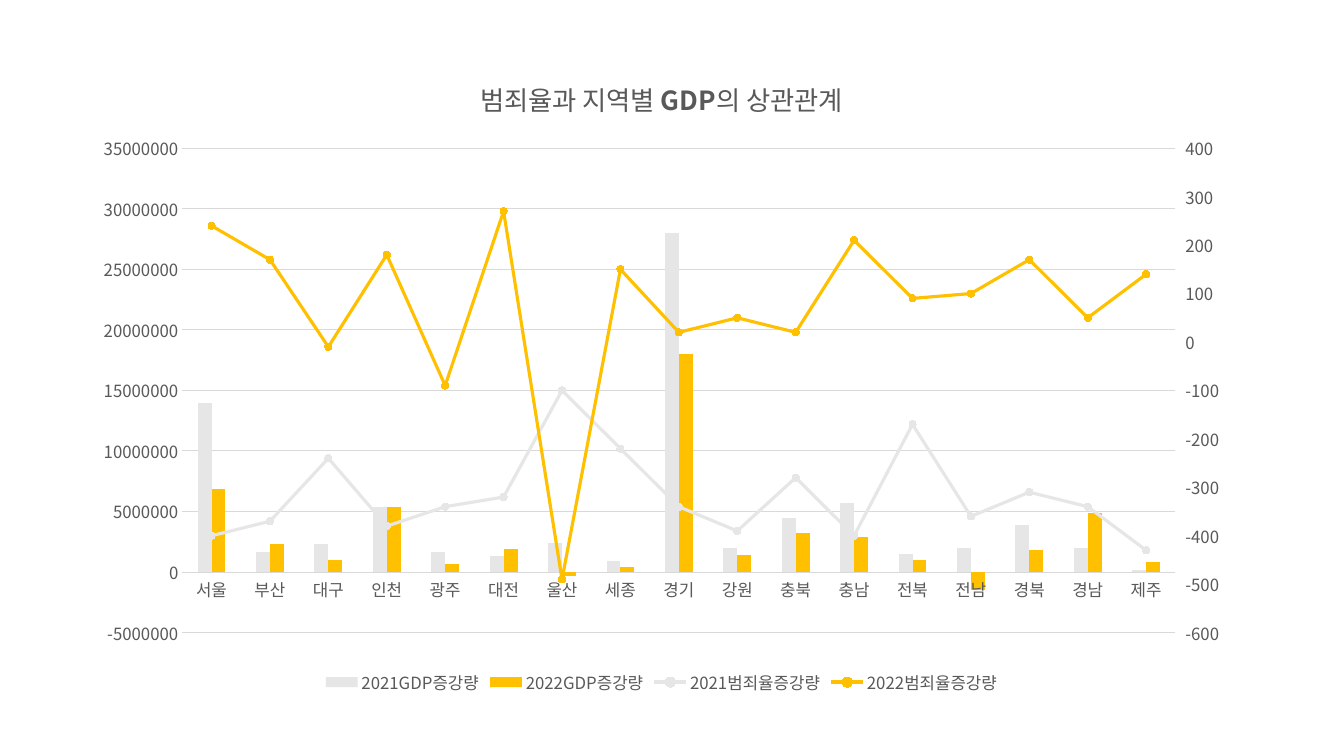
from copy import deepcopy

from pptx import Presentation
from pptx.chart.axis import ValueAxis
from pptx.chart.data import CategoryChartData
from pptx.dml.color import RGBColor
from pptx.enum.chart import XL_CHART_TYPE as ChartType
from pptx.enum.chart import XL_LEGEND_POSITION as LegendPosition
from pptx.enum.chart import XL_MARKER_STYLE as MarkerStyle
from pptx.enum.chart import XL_TICK_MARK as TickMark
from pptx.oxml import parse_xml
from pptx.oxml.ns import nsdecls, qn
from pptx.util import Pt

FONT = "Noto Sans CJK KR"
TEXT_GRAY = RGBColor(0x59, 0x59, 0x59)
GRID_GRAY = RGBColor(0xD9, 0xD9, 0xD9)
LIGHT_GRAY = RGBColor(0xE7, 0xE6, 0xE6)
GOLD = RGBColor(0xFF, 0xC0, 0x00)
YEAR_COLORS = (LIGHT_GRAY, GOLD)

REGIONS = ("서울 부산 대구 인천 광주 대전 울산 세종 경기 "
           "강원 충북 충남 전북 전남 경북 경남 제주").split()
GDP = {
    "2021GDP증강량": (14000000, 1700000, 2300000, 5400000, 1700000, 1300000,
                   2400000, 900000, 28000000, 2000000, 4500000, 5700000,
                   1500000, 2000000, 3900000, 2000000, 200000),
    "2022GDP증강량": (6900000, 2300000, 1000000, 5400000, 700000, 1900000,
                   -300000, 400000, 18000000, 1400000, 3200000, 2900000,
                   1000000, -1500000, 1800000, 4900000, 800000),
}
CRIME = {
    "2021범죄율증강량": (-400, -370, -240, -380, -340, -320, -100, -220, -340,
                  -390, -280, -400, -170, -360, -310, -340, -430),
    "2022범죄율증강량": (240, 170, -10, 180, -90, 270, -490, 150, 20,
                  50, 20, 210, 90, 100, 170, 50, 140),
}
TITLE_RUNS = (("범죄율과 지역별 ", False), ("GDP", True), ("의 상관관계", False))


def style_font(font, size):
    """Apply the chart's typeface and text colour."""
    font.name = FONT
    font.size = Pt(size)
    font.color.rgb = TEXT_GRAY


def style_axis(axis):
    """Give an axis its label font and hide its tick marks."""
    style_font(axis.tick_labels.font, 12)
    axis.major_tick_mark = axis.minor_tick_mark = TickMark.NONE


def scale_axis(axis, low, high, step):
    """Set the range of a value axis and hide its line."""
    axis.minimum_scale, axis.maximum_scale, axis.major_unit = low, high, step
    axis.format.line.fill.background()


def move_crime_to_right_axis(chart):
    """Turn the crime series into lines measured on a second value axis."""
    bars = chart.plots[0]
    crime_series = list(bars.series)[len(GDP):]
    lines = parse_xml(
        f'<c:lineChart {nsdecls("c")}><c:grouping val="standard"/>'
        '<c:varyColors val="0"/><c:marker val="1"/>'
        '<c:axId val="301"/><c:axId val="302"/></c:lineChart>')
    for series in crime_series:
        element = series._element
        for invert in element.findall(qn("c:invertIfNegative")):
            element.remove(invert)
        lines.find(qn("c:marker")).addprevious(element)
    bars._element.addnext(lines)

    left = chart.value_axis._element
    right = deepcopy(left)
    hidden = deepcopy(chart.category_axis._element)
    left.addnext(right)
    right.addnext(hidden)
    for element, own, other in ((hidden, "301", "302"), (right, "302", "301")):
        element.find(qn("c:axId")).set("val", own)
        element.find(qn("c:crossAx")).set("val", other)
    hidden.find(qn("c:delete")).set("val", "1")
    right.find(qn("c:axPos")).set("val", "r")
    right.find(qn("c:crosses")).set("val", "max")
    axis = ValueAxis(right)
    axis.has_major_gridlines = False
    axis.major_tick_mark = TickMark.OUTSIDE
    scale_axis(axis, -600, 400, 100)


def color_series(chart):
    """Colour the columns and lines by year."""
    bars, lines = chart.plots
    bars.gap_width, bars.overlap = 219, 0
    bars.vary_by_categories = False
    for series, color in zip(bars.series, YEAR_COLORS):
        series.invert_if_negative = False
        series.format.fill.solid()
        series.format.fill.fore_color.rgb = color
    for series, color in zip(lines.series, YEAR_COLORS):
        series.smooth = False
        series.format.line.color.rgb = color
        series.format.line.width = Pt(2.25)
        marker = series.marker
        marker.style, marker.size = MarkerStyle.CIRCLE, 5
        marker.format.fill.solid()
        marker.format.fill.fore_color.rgb = color
        marker.format.line.color.rgb = color


def add_title(chart):
    """Write the chart title with its bold word."""
    paragraph = chart.chart_title.text_frame.paragraphs[0]
    for text, bold in TITLE_RUNS:
        run = paragraph.add_run()
        run.text = text
        style_font(run.font, 18.8)
        run.font.bold = bold
    chart.chart_title.include_in_layout = False


def add_gdp_crime_chart(slide, left, top, width, height):
    """Place the combined GDP and crime chart in the given box."""
    data = CategoryChartData(number_format="0")
    data.categories = REGIONS
    for name, values in {**GDP, **CRIME}.items():
        data.add_series(name, values)
    chart = slide.shapes.add_chart(
        ChartType.COLUMN_CLUSTERED, Pt(left), Pt(top), Pt(width), Pt(height),
        data).chart
    style_font(chart.font, 12)
    add_title(chart)

    style_axis(chart.category_axis)
    chart.category_axis.format.line.color.rgb = GRID_GRAY
    chart.category_axis.format.line.width = Pt(0.75)
    value_axis = chart.value_axis
    style_axis(value_axis)
    scale_axis(value_axis, -5000000, 35000000, 5000000)
    grid_line = value_axis.major_gridlines.format.line
    grid_line.color.rgb, grid_line.width = GRID_GRAY, Pt(0.75)

    move_crime_to_right_axis(chart)
    color_series(chart)
    chart.has_legend = True
    chart.legend.position = LegendPosition.BOTTOM
    chart.legend.include_in_layout = False
    style_font(chart.legend.font, 12)


def main():
    """Build and save the presentation."""
    presentation = Presentation()
    presentation.slide_width, presentation.slide_height = Pt(960), Pt(540)
    slide = presentation.slides.add_slide(presentation.slide_layouts[6])
    add_gdp_crime_chart(slide, 57.5, 40.5, 830, 458.6)
    presentation.save("out.pptx")


if __name__ == "__main__":
    main()
